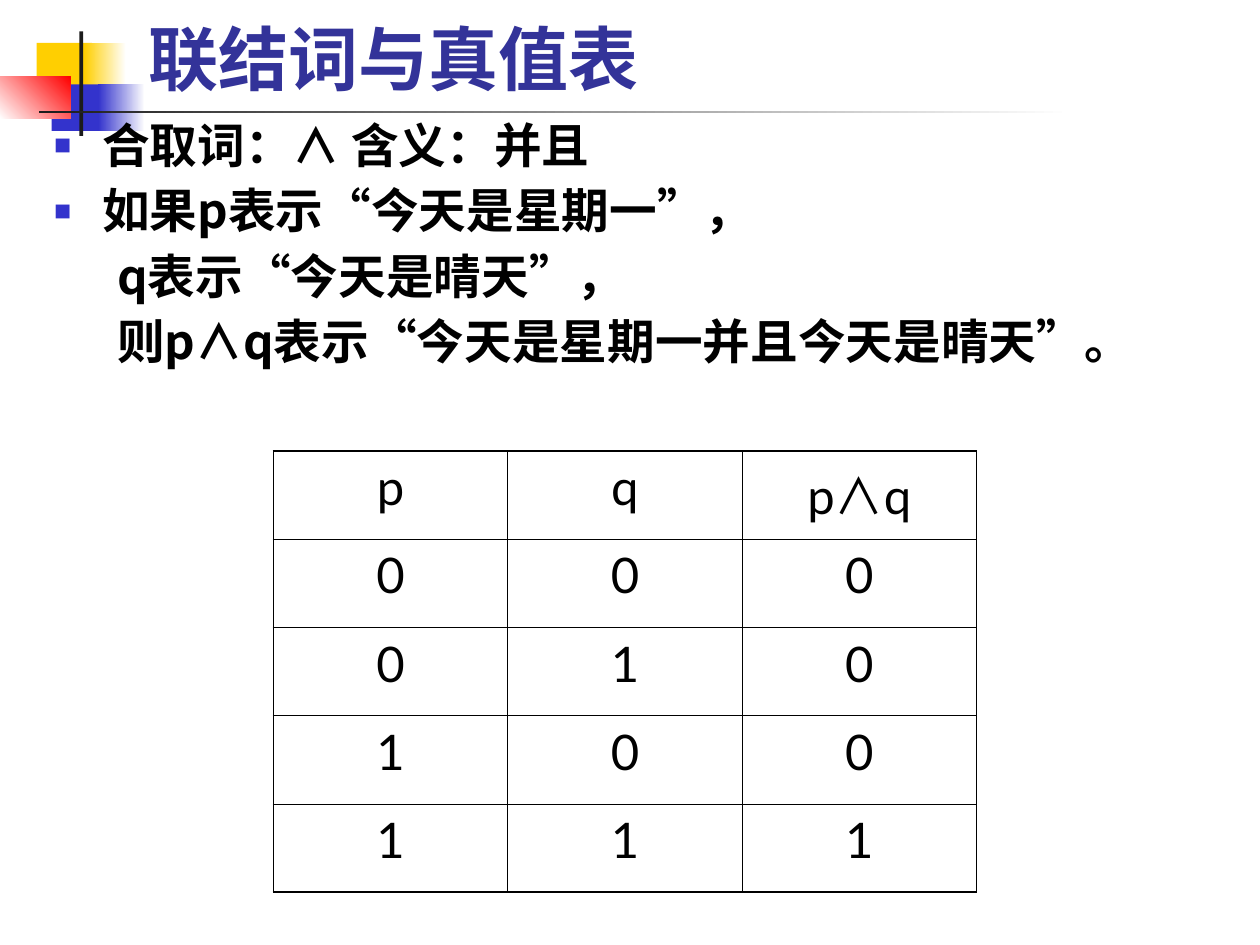
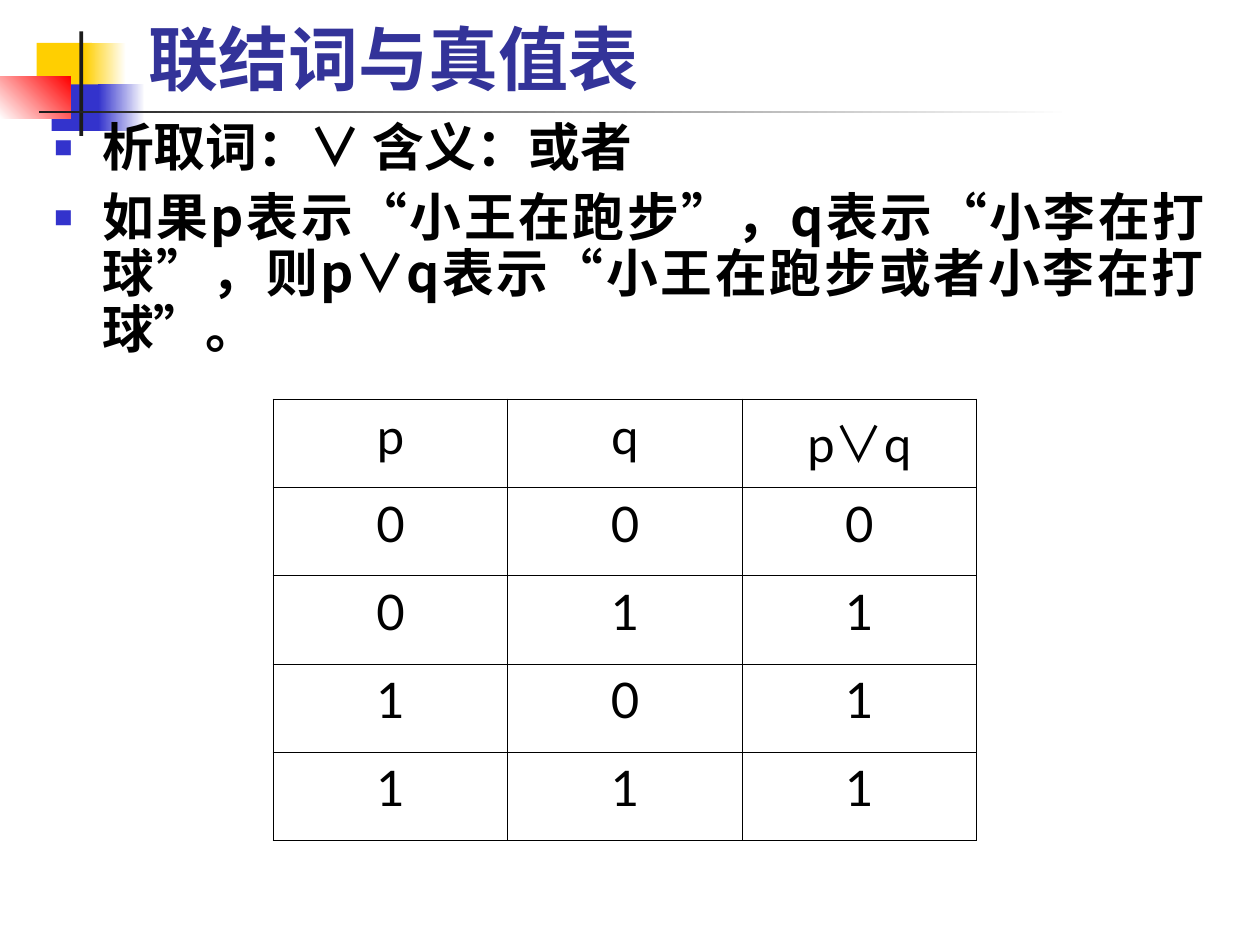
from dataclasses import dataclass
from itertools import groupby

from lxml import etree
from pptx import Presentation
from pptx import util as u
from pptx.dml.color import RGBColor
from pptx.enum import shapes, text
from pptx.oxml import ns

Inches, Pt = u.Inches, u.Pt


@dataclass(frozen=True)
class Theme:
    """Colours, fonts and type sizes."""
    gold: str = "FFCF01"
    blue: str = "3333CC"
    red: str = "FF0000"
    dark: str = "1C1C1C"
    white: str = "FFFFFF"
    navy: str = "333399"
    black: str = "000000"
    han: str = "Noto Sans CJK SC"
    quote: str = "Times New Roman"
    cell: str = "Lato"
    head: float = 40
    grid: float = 28
    rim: float = 1.08
    rule: float = 0.45


def rgb(code):
    """Turn a hex code into a colour."""
    return RGBColor.from_string(code)


def add(root, tag, **attrs):
    """Append a drawing element."""
    return etree.SubElement(root, ns.qn(tag), attrs)


def place(shape, box):
    """Move a shape to a box in inches."""
    shape.left, shape.top, shape.width, shape.height = map(Inches, box)


class Deck:
    """Hold the style and the current slide."""

    def __init__(self, theme):
        """Start an empty deck."""
        self.theme = theme
        self.show = Presentation()
        self.show.slide_width, self.show.slide_height = Inches(10), Inches(7.5)
        self.base = self.show.slide_layouts[1]
        self.slide = None

    def page(self):
        """Start a slide, dressing the layout the first time."""
        first = self.slide is None
        self.slide = self.show.slides.add_slide(self.base)
        if first:
            self.motif()

    def motif(self):
        """Put the coloured blocks and lines on the layout."""
        t = self.theme
        group = self.slide.shapes.add_group_shape()
        for box, *tones in (
            ((0.29, 0.34, 0.44, 0.38), t.gold),
            ((0.67, 0.34, 0.33, 0.38), t.gold, t.white),
            ((0.41, 0.67, 0.42, 0.37), t.blue),
            ((0.78, 0.67, 0.37, 0.37), t.blue, t.white),
            ((0, 0.61, 0.56, 0.33), t.white, t.red),
            ((0.63, 0.25, 0.03, 0.83), t.dark),
            ((0.31, 0.88, 8.19, 0.02), t.dark, t.white),
        ):
            self.block(group, box, tones)
        self.base.shapes._spTree.insert(2, group._element)

    def block(self, group, box, tones):
        """Draw a rectangle in one tone or a blend of two."""
        rect = group.shapes.add_shape(
            shapes.MSO_SHAPE.RECTANGLE, *map(Inches, box))
        rect.shadow.inherit = False
        rect.line.fill.background()
        if len(tones) == 1:
            rect.fill.solid()
            rect.fill.fore_color.rgb = rgb(tones[0])
            return
        rect.fill.gradient()
        rect.fill.gradient_angle = 45 if tones[1] == self.theme.red else 0
        for stop, tone in zip(rect.fill.gradient_stops, tones):
            stop.color.rgb = rgb(tone)

    def label(self, para, words, marks, fonts, size, tone, bold):
        """Fill a paragraph, giving the marks a font of their own."""
        for mark, part in groupby(words, lambda c: c in marks):
            run = para.add_run()
            run.text = "".join(part)
            font = run.font
            font.size, font.bold, font.name = Pt(size), bold, fonts[mark]
            font.color.rgb = rgb(tone)
            add(font._element, "a:ea", typeface=self.theme.han)

    def title(self, words):
        """Set the slide title."""
        t, shape = self.theme, self.slide.shapes.title
        place(shape, (1.08, 0.17, 8.42, 0.67))
        frame = shape.text_frame
        frame.auto_size = text.MSO_AUTO_SIZE.NONE
        frame.vertical_anchor = text.MSO_ANCHOR.BOTTOM
        para = frame.paragraphs[0]
        para.alignment = text.PP_ALIGN.LEFT
        self.label(para, words, "", (t.han,), t.head, t.navy, True)

    def bullet(self, para, level):
        """Set the indent and the square bullet of a level."""
        left, hang = ((0.38, 0.38), (0.81, 0.31))[level]
        para.level = level
        props = para._p.get_or_add_pPr()
        props.set("marL", str(Inches(left)))
        props.set("indent", str(-Inches(hang)))
        if level:
            add(props, "a:buNone")
            return
        add(add(props, "a:buClr"), "a:srgbClr", val=self.theme.blue)
        add(props, "a:buSzPct", val="60000")
        add(props, "a:buChar", char="■")

    def body(self, lines, size, height):
        """Set the list of (level, words) lines."""
        t, shape = self.theme, self.slide.placeholders[1]
        place(shape, (0.33, 0.92, 9.33, height))
        frame = shape.text_frame
        frame.auto_size = text.MSO_AUTO_SIZE.NONE
        for i, (level, words) in enumerate(lines):
            para = frame.add_paragraph() if i else frame.paragraphs[0]
            self.bullet(para, level)
            para.alignment = text.PP_ALIGN.JUSTIFY
            para.line_spacing = 0.9
            para.space_before = Pt(8 if i else 0)
            self.label(para, words, "“”", (t.han, t.quote), size, t.black, True)

    def edge(self, cell, side, width):
        """Draw one border of a cell."""
        line = add(cell._tc.get_or_add_tcPr(), f"a:ln{side}", w=str(Pt(width)))
        add(add(line, "a:solidFill"), "a:srgbClr", val=self.theme.black)

    def table(self, rows, top):
        """Draw a truth table with a heavier rim."""
        t, high, wide = self.theme, len(rows), len(rows[0])
        grid = self.slide.shapes.add_table(
            high, wide, Inches(2.17), Inches(top),
            Inches(1.86 * wide), Inches(0.7 * high)).table
        grid.first_row = grid.horz_banding = False
        for r, row in enumerate(rows):
            for c, words in enumerate(row):
                cell = grid.cell(r, c)
                rims = {"L": c == 0, "R": c == wide - 1,
                        "T": r == 0, "B": r == high - 1}
                for side, outer in rims.items():
                    self.edge(cell, side, t.rim if outer else t.rule)
                cell.fill.background()
                para = cell.text_frame.paragraphs[0]
                para.alignment = text.PP_ALIGN.CENTER
                self.label(para, words, "∧∨", (t.cell, t.han),
                           t.grid, t.black, False)


def truth(sign, rule):
    """List the rows of a truth table for a connective."""
    pairs = [(p, q) for p in (0, 1) for q in (0, 1)]
    return [("p", "q", f"p{sign}q")] + [
        (str(p), str(q), str(rule(p, q))) for p, q in pairs]


def main():
    """Build both slides and save them."""
    deck = Deck(Theme())
    both = [
        (0, "合取词：∧ 含义：并且"),
        (0, "如果p表示“今天是星期一”，"),
        (1, "q表示“今天是晴天”，"),
        (1, "则p∧q表示“今天是星期一并且今天是晴天”。"),
    ]
    either = [
        (0, "析取词：∨ 含义：或者"),
        (0, "如果p表示“小王在跑步”，q表示“小李在打球”，"
            "则p∨q表示“小王在跑步或者小李在打球”。"),
    ]
    for lines, size, height, sign, rule, top in (
        (both, 27.2, 2.5, "∧", min, 3.58),
        (either, 29.6, 2.33, "∨", max, 3.17),
    ):
        deck.page()
        deck.title("联结词与真值表")
        deck.body(lines, size, height)
        deck.table(truth(sign, rule), top)
    deck.show.save("out.pptx")


if __name__ == "__main__":
    main()
